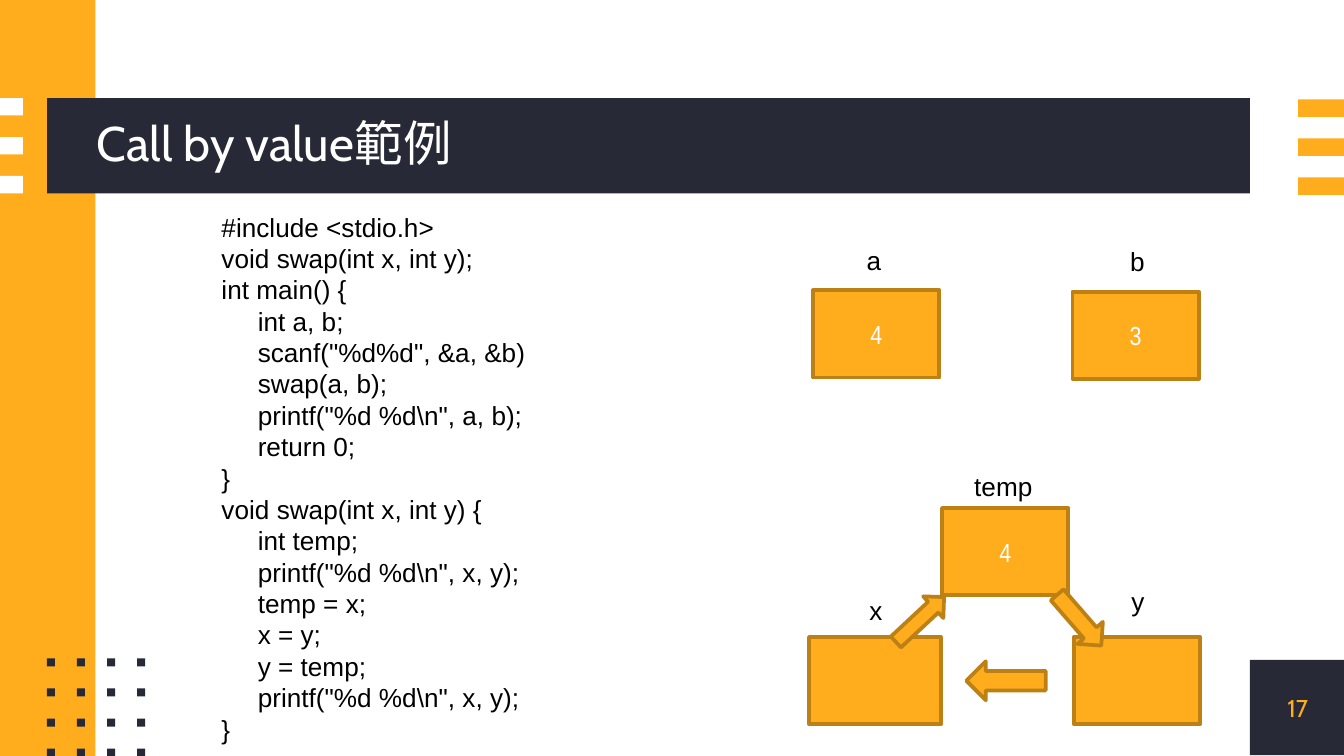
"""Build the call-by-value example slide."""
from pptx import Presentation
from pptx import util as u
from pptx.dml.color import RGBColor
from pptx.enum import shapes, text

DARK, ORANGE, BROWN, WHITE, BLACK = "272A36", "FFAD1D", "BD8015", "FFFFFF", "000000"
MSO = shapes.MSO_SHAPE
WIDTH = 10
HEIGHT = WIDTH * 9 / 16
TITLE = "Call by value範例"
CODE = [
    (0, "#include <stdio.h>"),
    (0, "void swap(int x, int y);"),
    (0, "int main() {"),
    (1, "int a, b;"),
    (1, 'scanf("%d%d", &a, &b)'),
    (1, "swap(a, b);"),
    (1, 'printf("%d %d\\n", a, b);'),
    (1, "return 0;"),
    (0, "}"),
    (0, "void swap(int x, int y) {"),
    (1, "int temp;"),
    (1, 'printf("%d %d\\n", x, y);'),
    (1, "temp = x;"),
    (1, "x = y;"),
    (1, "y = temp;"),
    (1, 'printf("%d %d\\n", x, y);'),
    (0, "}"),
]
PANELS = [
    (0, 0, 0.71, HEIGHT, ORANGE),
    (0.35, 0.73, 8.95, 0.71, DARK),
    (9.3, 4.91, 0.71, 0.71, DARK),
]
VARIABLES = [
    ("4", 6.05, 2.16, 0.94),
    ("3", 7.98, 2.17, 0.94),
    ("4", 7.01, 3.78, 0.94),
    ("", 6.02, 4.74, 0.98),
    ("", 7.99, 4.74, 0.94),
]
LABELS = [
    ("a", 6.35, 1.77, 0.31),
    ("b", 8.31, 1.78, 0.39),
    ("temp", 7.15, 3.45, 0.65),
    ("x", 6.37, 4.37, 0.29),
    ("y", 8.32, 4.31, 0.28),
]
ARROWS = [
    (MSO.RIGHT_ARROW, 6.6, 4.5, 0.49, 0.22, 317),
    (MSO.LEFT_ARROW, 7.19, 4.92, 0.59, 0.29, 0),
    (MSO.RIGHT_ARROW, 7.78, 4.49, 0.5, 0.25, 49),
]


def rgb(value):
    return RGBColor.from_string(value)


def box(*at):
    return [u.Inches(v) for v in at]


def add_shape(s, kind, at, fill, line=None):
    sp = s.shapes.add_shape(kind, *box(*at))
    sp.shadow.inherit = False
    sp.fill.solid()
    sp.fill.fore_color.rgb = rgb(fill)
    if line:
        sp.line.color.rgb = rgb(line)
        sp.line.width = u.Pt(2)
    else:
        sp.line.fill.background()
    return sp


def write(sp, words, font, size, color, align=text.PP_ALIGN.LEFT,
          anchor=text.MSO_ANCHOR.TOP, wrap=True, inset=None):
    tf = sp.text_frame
    tf.text = words
    tf.word_wrap = wrap
    tf.vertical_anchor = anchor
    if inset is not None:
        tf.margin_left = tf.margin_right = tf.margin_top = tf.margin_bottom = inset
    for p in tf.paragraphs:
        p.alignment = align
        for r in p.runs:
            r.font.name = font
            r.font.size = u.Pt(size)
            r.font.color.rgb = rgb(color)
    return tf


def add_decoration(s):
    for *at, fill in PANELS:
        add_shape(s, MSO.RECTANGLE, at, fill)
    for i in range(3):
        y = 0.73 + 0.29 * i
        add_shape(s, MSO.RECTANGLE, (0, y, 0.17, 0.13), WHITE)
        add_shape(s, MSO.RECTANGLE, (9.66, y + 0.01, 0.34, 0.13), ORANGE)
    for row in range(4):
        for col in range(4):
            at = (0.35 + 0.67 * col / 3, 4.9 + 0.67 * row / 3, 0.06, 0.06)
            add_shape(s, MSO.RECTANGLE, at, DARK)


def add_title(s):
    sp = s.shapes.title
    sp.left, sp.top, sp.width, sp.height = box(0.72, 0.73, 8.58, 0.71)
    tf = write(sp, TITLE, "Cabin", 26, WHITE, anchor=text.MSO_ANCHOR.MIDDLE, inset=0)
    tf.auto_size = text.MSO_AUTO_SIZE.NONE
    tf.paragraphs[0].line_spacing = 0.9
    sp.element.getparent().append(sp.element)


def add_code(s):
    sp = s.shapes.add_textbox(*box(1.55, 1.52, 3, 4.11))
    tf = write(sp, "\n".join(line for _, line in CODE), "Arial", 14, BLACK)
    for p, (level, _) in zip(tf.paragraphs, CODE):
        p.line_spacing = u.Pt(16.8)
        p._p.get_or_add_pPr().set("marL", str(u.Inches(0.27 * level)))


def add_diagram(s):
    for value, x, y, w in VARIABLES:
        sp = add_shape(s, MSO.RECTANGLE, (x, y, w, 0.65), ORANGE, BROWN)
        if value:
            write(sp, value, "Arial Narrow", 14, WHITE,
                  text.PP_ALIGN.CENTER, text.MSO_ANCHOR.MIDDLE)
    for name, x, y, w in LABELS:
        sp = s.shapes.add_textbox(*box(x, y, w, 0.34))
        write(sp, name, "Arial", 14, BLACK, wrap=False)
    for kind, *at, angle in ARROWS:
        add_shape(s, kind, at, ORANGE, BROWN).rotation = angle


def main():
    prs = Presentation()
    prs.slide_width, prs.slide_height = box(WIDTH, HEIGHT)
    s = prs.slides.add_slide(prs.slide_layouts[5])
    add_decoration(s)
    add_title(s)
    number = s.shapes.add_textbox(*box(9.3, 4.91, 0.71, 0.71))
    write(number, "17", "Cabin", 13, ORANGE, text.PP_ALIGN.CENTER,
          text.MSO_ANCHOR.MIDDLE, inset=0)
    add_code(s)
    add_diagram(s)
    prs.save("out.pptx")


if __name__ == "__main__":
    main()
